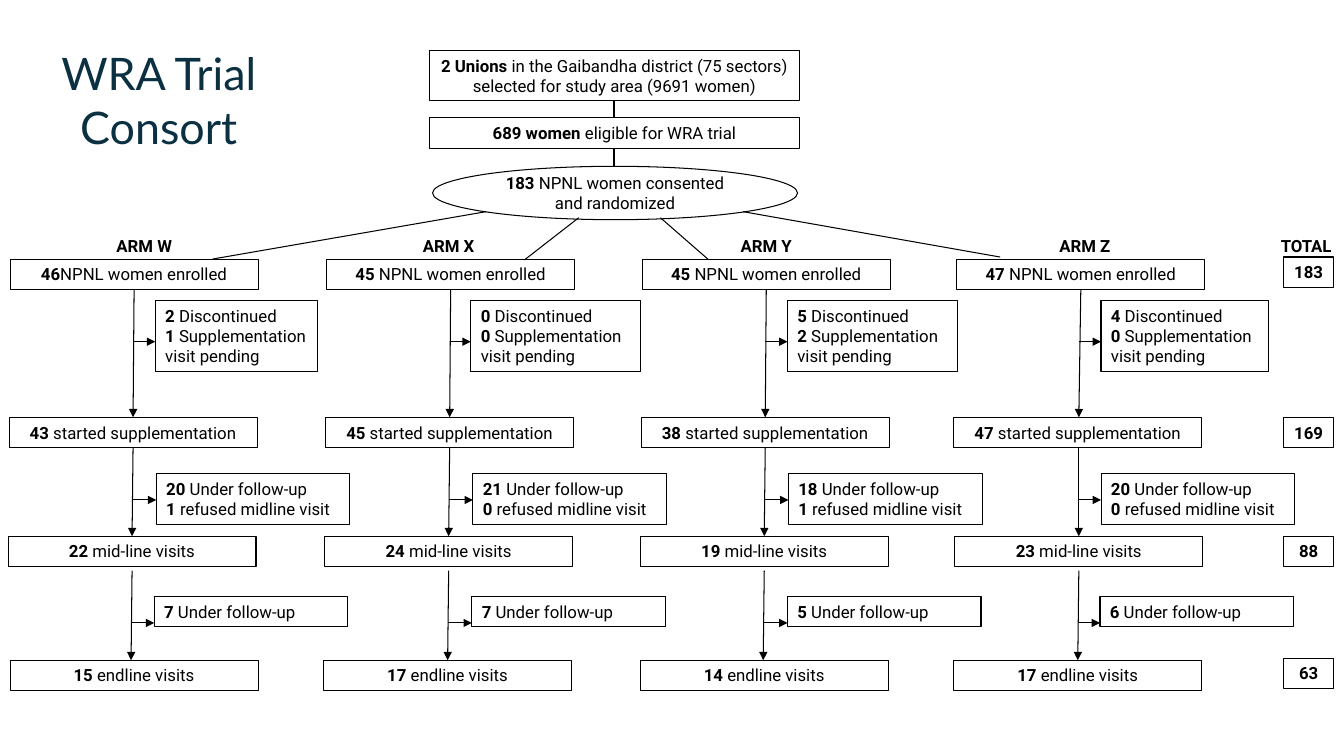
from dataclasses import dataclass
from itertools import pairwise

import lxml.etree
import pptx
import pptx.dml.color
import pptx.enum.shapes
import pptx.enum.text
import pptx.oxml.ns
import pptx.util

EMU_PER_PX = 9144  # 100 px to the inch
INK = pptx.dml.color.RGBColor(0x00, 0x00, 0x00)
NAVY = pptx.dml.color.RGBColor(0x0B, 0x30, 0x41)
LINE_WIDTH = pptx.util.Pt(0.75)

BODY_FORMAT = {"name": "Roboto", "size": pptx.util.Pt(12)}
TITLE_FORMAT = {"name": "Lato", "size": pptx.util.Pt(32), "bold": False}

ShapeKind = pptx.enum.shapes.MSO_SHAPE
Align = pptx.enum.text.PP_ALIGN
Anchor = pptx.enum.text.MSO_ANCHOR
AutoSize = pptx.enum.text.MSO_AUTO_SIZE

ROW_HEIGHT = 30
STAGE_WIDTH = 246
NOTE_WIDTH = 192
LABEL_TOP = 229
TOTAL_LEFT, TOTAL_WIDTH = 1273, 50


@dataclass(frozen=True)
class Area:
    left: int
    top: int
    width: int
    height: int = ROW_HEIGHT


@dataclass(frozen=True)
class Entry:
    """A bold count followed by plain words."""
    count: str
    words: str = ""


@dataclass(frozen=True)
class Stage:
    top: int
    words: str
    total: str
    total_top: int


@dataclass(frozen=True)
class Note:
    """A side box and the arrows leading to it and past it."""
    top: int
    height: int
    words: tuple[str, ...]
    branch_y: int
    spine_top: int
    spine_bottom: int


@dataclass(frozen=True)
class Arm:
    name: str
    label_center: int
    stage_lefts: tuple[int, ...]
    stage_counts: tuple[str, ...]
    note_lefts: tuple[int, ...]
    note_counts: tuple[tuple[str, ...], ...]
    first_note_width: int
    spine: tuple[int, ...]


STAGES = (
    Stage(257, "NPNL women enrolled", "183", 255),
    Stage(414, "started supplementation", "169", 414),
    Stage(532, "mid-line visits", "88", 532),
    Stage(655, "endline visits", "63", 653),
)
NOTES = (
    Note(298, 71, (" Discontinued", " Supplementation visit pending"), 339, 287, 414),
    Note(470, 50, (" Under follow-up", " refused midline visit"), 496, 444, 532),
    Note(592, 30, (" Under follow-up",), 618, 566, 655),
)
ARMS = (
    Arm("ARM W", 143, (10, 9, 8, 10), ("46", "43 ", "22 ", "15 "),
        (154, 155, 153), (("2", "1"), ("20", "1"), ("7",)), 161,
        (133, 132, 131, 130)),
    Arm("ARM X", 445, (324, 323, 322, 321), ("45 ", "45 ", "24 ", "17 "),
        (467, 469, 468), (("0", "0"), ("21", "0"), ("7",)), 168,
        (447, 446, 445, 444)),
    Arm("ARM Y", 760, (637, 636, 635, 635), ("45 ", "38 ", "19 ", "14 "),
        (781, 782, 781), (("5", "2"), ("18", "1"), ("5",)), 169,
        (760, 759, 758, 757)),
    Arm("ARM Z", 1076, (949, 946, 947, 946), ("47 ", "47 ", "23 ", "17 "),
        (1092, 1092, 1091), (("4", "0"), ("20", "0"), ("6",)), 166,
        (1072, 1070, 1070, 1069)),
)
# Plain links above the arms: x1, y1, x2, y2
LINKS = (
    (609, 100, 609, 117), (609, 148, 609, 165),
    (482, 210, 211, 257), (574, 216, 520, 258),
    (655, 216, 702, 257), (737, 210, 992, 255),
)


def px(length: int) -> int:
    return pptx.util.Emu(length * EMU_PER_PX)


def place(area: Area) -> tuple[int, ...]:
    return tuple(map(px, (area.left, area.top, area.width, area.height)))


def style(font, formats: dict, color) -> None:
    for name, value in formats.items():
        setattr(font, name, value)
    font.color.rgb = color


def write(box, entries: list[Entry], align, anchor=Anchor.TOP) -> None:
    frame = box.text_frame
    frame.word_wrap = True
    frame.vertical_anchor = anchor
    frame.auto_size = (AutoSize.SHAPE_TO_FIT_TEXT if anchor == Anchor.TOP
                       else AutoSize.NONE)
    for index, entry in enumerate(entries):
        para = frame.add_paragraph() if index else frame.paragraphs[0]
        para.alignment = align
        for words, bold in ((entry.count, True), (entry.words, False)):
            if words:
                span = para.add_run()
                span.text = words
                style(span.font, BODY_FORMAT | {"bold": bold}, INK)


def draw_box(page, area: Area, entries: list[Entry], align=Align.CENTER,
             kind=ShapeKind.RECTANGLE, anchor=Anchor.TOP) -> None:
    box = page.shapes.add_shape(kind, *place(area))
    box.shadow.inherit = False
    box.fill.background()
    box.line.color.rgb = INK
    box.line.width = LINE_WIDTH
    write(box, entries, align, anchor)


def draw_label(page, area: Area, words: str) -> None:
    write(page.shapes.add_textbox(*place(area)), [Entry(words)], Align.CENTER)


def draw_line(page, ends: tuple[int, ...], arrow: bool = False) -> None:
    line = page.shapes.add_connector(
        pptx.enum.shapes.MSO_CONNECTOR.STRAIGHT, *map(px, ends))
    line.line.color.rgb = INK
    line.line.width = LINE_WIDTH
    qn = pptx.oxml.ns.qn
    properties = line._element.spPr
    if arrow:
        lxml.etree.SubElement(properties.find(qn("a:ln")), qn("a:tailEnd"),
                              type="triangle")
    lxml.etree.SubElement(properties, qn("a:effectLst"))


def draw_title(page) -> None:
    title = page.shapes.title
    title.left, title.top, title.width, title.height = place(Area(45, 40, 225, 117))
    title.text_frame.text = "WRA Trial Consort"
    title.text_frame.word_wrap = True
    title.text_frame.auto_size = AutoSize.NONE
    title.text_frame.vertical_anchor = Anchor.MIDDLE
    para = title.text_frame.paragraphs[0]
    para.alignment = Align.CENTER
    style(para.runs[0].font, TITLE_FORMAT, NAVY)


def draw_selection(page) -> None:
    draw_box(page, Area(426, 50, 367, 50), [Entry(
        "2 Unions ",
        "in the Gaibandha district (75 sectors) selected for study area (9691 women)")])
    draw_box(page, Area(426, 117, 367), [Entry("689 women ", "eligible for WRA trial")])
    draw_box(page, Area(429, 165, 362, 53),
             [Entry("183 ", "NPNL women consented and randomized")],
             kind=ShapeKind.OVAL, anchor=Anchor.MIDDLE)
    for link in LINKS:
        draw_line(page, link)


def draw_arm(page, arm: Arm) -> None:
    draw_label(page, Area(arm.label_center - 119, LABEL_TOP, 238), arm.name)
    for stage, left, count in zip(STAGES, arm.stage_lefts, arm.stage_counts):
        draw_box(page, Area(left, stage.top, STAGE_WIDTH), [Entry(count, stage.words)])
    widths = (arm.first_note_width, NOTE_WIDTH, NOTE_WIDTH)
    for note, left, width, counts, (start, end) in zip(
            NOTES, arm.note_lefts, widths, arm.note_counts, pairwise(arm.spine)):
        draw_line(page, (start, note.spine_top, end, note.spine_bottom), arrow=True)
        draw_line(page, (end, note.branch_y, left, note.branch_y), arrow=True)
        draw_box(page, Area(left, note.top, width, note.height),
                 [Entry(*pair) for pair in zip(counts, note.words)], Align.LEFT)


def draw_totals(page) -> None:
    draw_label(page, Area(1258, LABEL_TOP, 75), "TOTAL")
    for stage in STAGES:
        draw_box(page, Area(TOTAL_LEFT, stage.total_top, TOTAL_WIDTH), [Entry(stage.total)])


def main() -> None:
    deck = pptx.Presentation()
    deck.slide_width, deck.slide_height = px(1333), px(750)
    page = deck.slides.add_slide(deck.slide_layouts.get_by_name("Title Only"))
    draw_title(page)
    draw_selection(page)
    for arm in ARMS:
        draw_arm(page, arm)
    draw_totals(page)
    deck.save("out.pptx")


if __name__ == "__main__":
    main()
